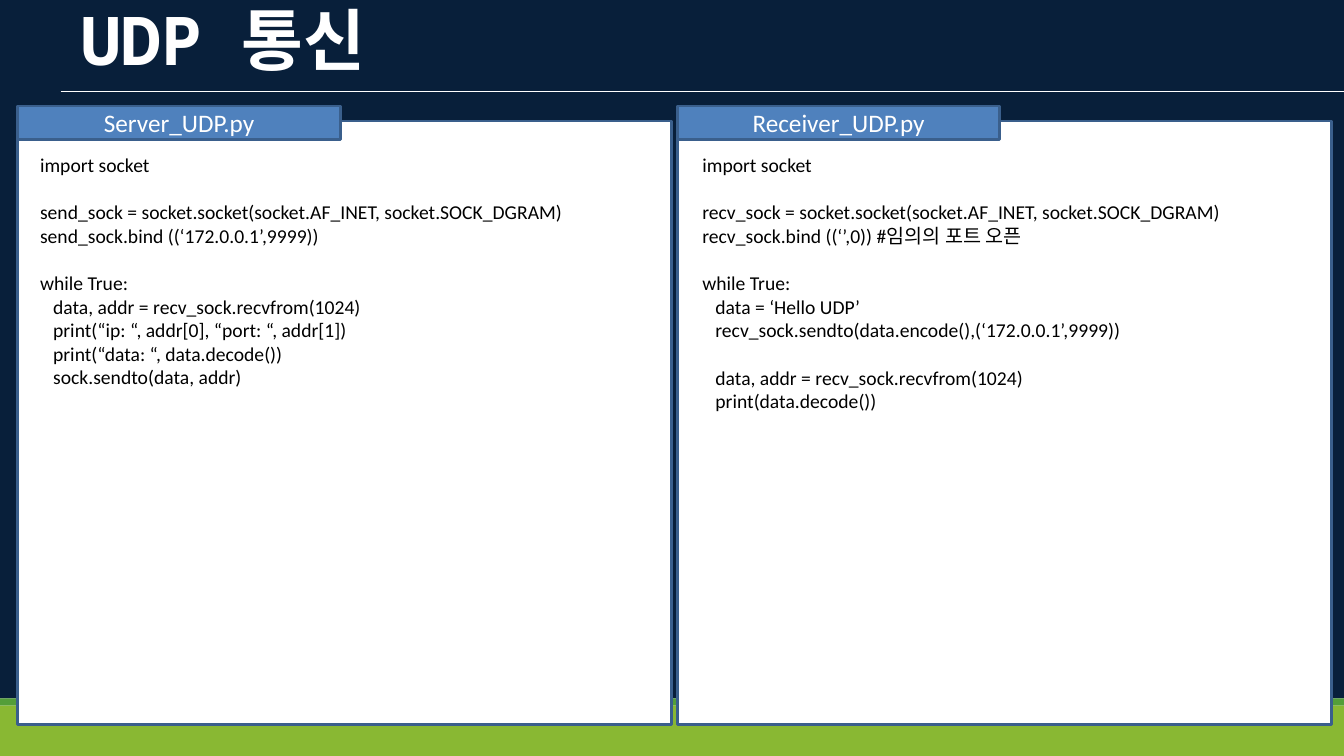
from pptx import Presentation
from pptx.dml.color import RGBColor
from pptx.enum.shapes import MSO_CONNECTOR, MSO_SHAPE
from pptx.enum.text import MSO_ANCHOR, PP_ALIGN
from pptx.oxml.ns import qn
from pptx.util import Cm, Pt
from lxml import etree

RECTANGLE = MSO_SHAPE.RECTANGLE
STRAIGHT = MSO_CONNECTOR.STRAIGHT
TOP, MIDDLE = MSO_ANCHOR.TOP, MSO_ANCHOR.MIDDLE
LEFT, CENTER = PP_ALIGN.LEFT, PP_ALIGN.CENTER

TITLE = "UDP 통신"

# Each block is a list of (indent level, code line); a gap separates blocks.
PROGRAMS = [
    {
        "file": "Server_UDP.py",
        "code_left": 0.76,
        "blocks": [
            [(0, "import socket")],
            [(0, "send_sock = socket.socket(socket.AF_INET, socket.SOCK_DGRAM)"),
             (0, "send_sock.bind ((‘172.0.0.1’,9999))")],
            [(0, "while True:"),
             (1, "data, addr = recv_sock.recvfrom(1024)"),
             (1, "print(“ip: “, addr[0], “port: “, addr[1])"),
             (1, "print(“data: “, data.decode())"),
             (1, "sock.sendto(data, addr)")],
        ],
    },
    {
        "file": "Receiver_UDP.py",
        "code_left": 17.45,
        "blocks": [
            [(0, "import socket")],
            [(0, "recv_sock = socket.socket(socket.AF_INET, socket.SOCK_DGRAM)"),
             (0, "recv_sock.bind ((‘’,0)) #임의의 포트 오픈")],
            [(0, "while True:"),
             (1, "data = ‘Hello UDP’"),
             (1, "recv_sock.sendto(data.encode(),(‘172.0.0.1’,9999))")],
            [(1, "data, addr = recv_sock.recvfrom(1024)"),
             (1, "print(data.decode())")],
        ],
    },
]

THEME = {
    "navy": "081F3A", "green": "539E39", "lime": "89B833",
    "white": "FFFFFF", "black": "000000", "blue": "4F81BD", "edge": "3A5F8C",
    "title_font": "Noto Sans Mono", "body_font": "Calibri",
    "title_size": 48, "tab_size": 18, "code_size": 14,
    "edge_width": 2, "rule_width": 0.48,
}

# Lengths in centimetres
PAGE_WIDTH, PAGE_HEIGHT = 33.87, 19.05
BANDS = [("navy", 0, 17.6), ("green", 17.6, 17.78), ("lime", 17.78, PAGE_HEIGHT)]
RULE_LEFT, RULE_TOP = 1.53, 2.3
PANEL_LEFT, PANEL_STEP, PANEL_TOP = 0.45, 16.62, 3.05
PANEL_WIDTH, PANEL_HEIGHT = 16.48, 15.21
TAB_TOP, TAB_WIDTH, TAB_HEIGHT = 2.67, 8.13, 0.84
CODE_TOP, CODE_WIDTH = 3.73, 16.94
CODE_INDENT = 0.33
CODE_LINE = 0.6


def color(name):
    return RGBColor.from_string(THEME[name])


def set_all(target, values):
    for name, value in values.items():
        setattr(target, name, value)


def add_box(page, left, top, width, height, fill, edge=None):
    box = page.shapes.add_shape(RECTANGLE, Cm(left), Cm(top), Cm(width), Cm(height))
    box.shadow.inherit = False
    box.fill.solid()
    box.fill.fore_color.rgb = color(fill)
    if edge:
        box.line.color.rgb = color(edge)
        box.line.width = Pt(THEME["edge_width"])
    else:
        box.line.fill.background()
    return box


def write(para, text, font, size, ink, bold=False):
    span = para.add_run()
    span.text = text
    set_all(span.font, {"name": THEME[font], "size": Pt(THEME[size]), "bold": bold})
    span.font.color.rgb = color(ink)


def add_title(page):
    box = page.shapes.add_textbox(Cm(2.03), Cm(0.15), Cm(31.6), Cm(2.08))
    set_all(box.text_frame, {
        "word_wrap": True, "vertical_anchor": TOP, "margin_left": 0,
        "margin_top": Cm(0.03), "margin_right": 0, "margin_bottom": 0,
    })
    para = box.text_frame.paragraphs[0]
    para.line_spacing = 0.9
    write(para, TITLE, "title_font", "title_size", "white", bold=True)


def add_rule(page):
    rule = page.shapes.add_connector(
        STRAIGHT, Cm(RULE_LEFT), Cm(RULE_TOP), Cm(PAGE_WIDTH), Cm(RULE_TOP))
    rule.line.color.rgb = color("white")
    rule.line.width = Pt(THEME["rule_width"])
    etree.SubElement(rule._element.spPr, qn("a:effectLst"))


def add_tab(page, left, text):
    tab = add_box(page, left, TAB_TOP, TAB_WIDTH, TAB_HEIGHT, "blue", "edge")
    tab.text_frame.vertical_anchor = MIDDLE
    para = tab.text_frame.paragraphs[0]
    para.alignment = CENTER
    write(para, text, "body_font", "tab_size", "white")


def add_code(page, left, blocks):
    line_count = sum(map(len, blocks)) + len(blocks) - 1
    height = line_count * CODE_LINE + 0.25
    box = page.shapes.add_textbox(Cm(left), Cm(CODE_TOP), Cm(CODE_WIDTH), Cm(height))
    frame = box.text_frame
    frame.word_wrap = True
    for block_index, block in enumerate(blocks):
        for line_index, (level, text) in enumerate(block):
            starts_block = line_index == 0
            first = block_index == 0 and starts_block
            para = frame.paragraphs[0] if first else frame.add_paragraph()
            para.alignment = LEFT
            if starts_block and not first:
                para.space_before = Cm(CODE_LINE)
            if level:
                para._p.get_or_add_pPr().set("marL", str(Cm(level * CODE_INDENT)))
            write(para, text, "body_font", "code_size", "black")


def main():
    deck = Presentation()
    set_all(deck, {"slide_width": Cm(PAGE_WIDTH), "slide_height": Cm(PAGE_HEIGHT)})
    page = deck.slides.add_slide(deck.slide_layouts[6])
    for fill, top, bottom in BANDS:
        add_box(page, 0, top, PAGE_WIDTH, bottom - top, fill)
    add_title(page)
    add_rule(page)
    for index, program in enumerate(PROGRAMS):
        left = PANEL_LEFT + index * PANEL_STEP
        add_box(page, left, PANEL_TOP, PANEL_WIDTH, PANEL_HEIGHT, "white", "edge")
        add_tab(page, left, program["file"])
        add_code(page, program["code_left"], program["blocks"])
    deck.save("out.pptx")


if __name__ == "__main__":
    main()
